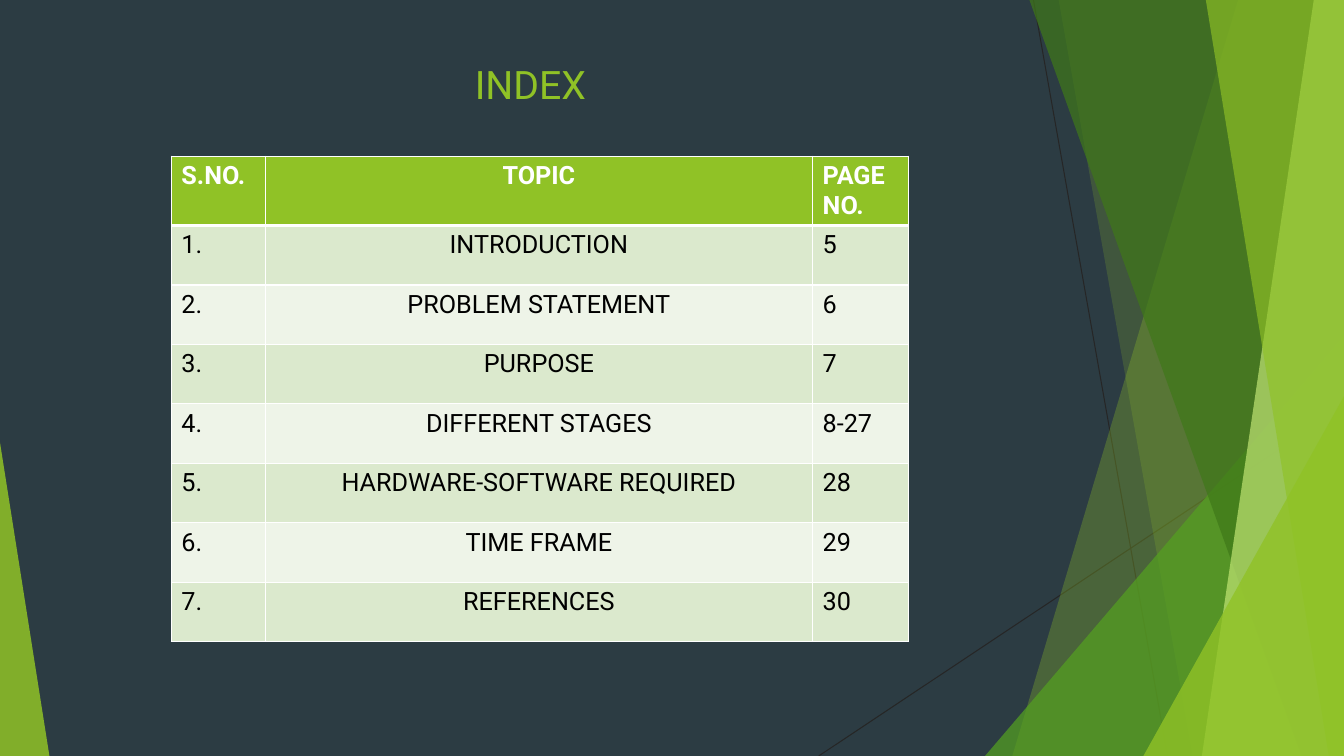
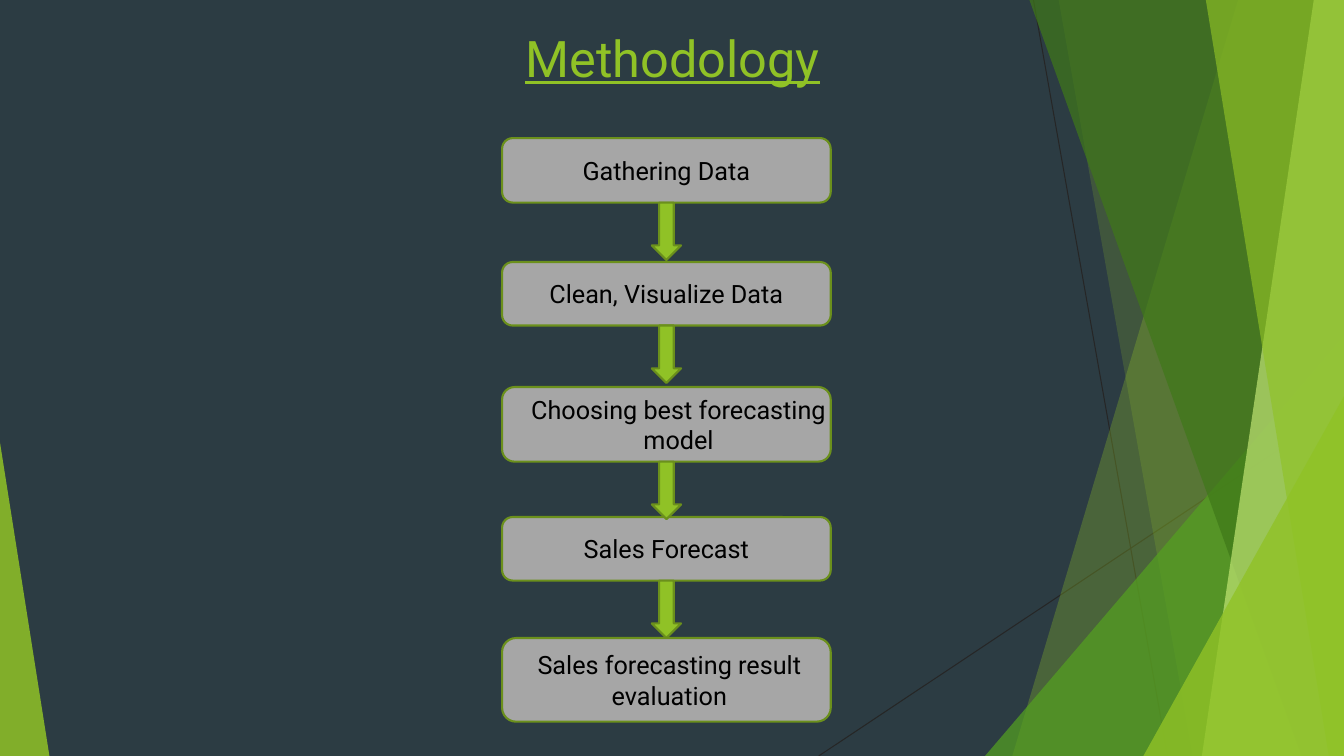
from lxml.etree import SubElement
from pptx import Presentation
from pptx.dml.color import RGBColor
from pptx.enum.shapes import MSO_CONNECTOR, MSO_SHAPE
from pptx.enum.text import MSO_ANCHOR, MSO_AUTO_SIZE, PP_ALIGN
from pptx.oxml import parse_xml
from pptx.oxml.ns import nsdecls, qn
from pptx.util import Inches, Pt

# Content
INDEX_TITLE = "INDEX"
INDEX_ROWS = [
    ("S.NO.", "TOPIC", "PAGE NO."),
    ("1.", "INTRODUCTION", "5"),
    ("2.", "PROBLEM STATEMENT", "6"),
    ("3.", "PURPOSE", "7"),
    ("4.", "DIFFERENT STAGES", "8-27"),
    ("5.", "HARDWARE-SOFTWARE REQUIRED", "28"),
    ("6.", "TIME FRAME", "29"),
    ("7.", "REFERENCES", "30"),
]
METHOD_TITLE = "Methodology"
# text, top, height, left inset, right inset
METHOD_STEPS = [
    ("Gathering Data", 1.37, 0.64, 0.08, 0.08),
    ("Clean, Visualize Data", 2.6, 0.63, 0.08, 0.08),
    ("Choosing best forecasting model", 3.84, 0.74, 0.24, 0),
    ("Sales Forecast", 5.13, 0.63, 0.08, 0.08),
    ("Sales forecasting result evaluation", 6.33, 0.83, 0.14, 0.08),
]

# Theme
THEME = {
    "font": "Roboto",
    "background": "2C3C43", "accent": "90C226", "outline": "6B901C",
    "leaf": "54A021", "forest": "3F7819", "lime": "C0E474",
    "hairline": "262626", "step": "A6A6A6",
    "light": "FFFFFF", "dark": "000000", "bands": ("DBE9CD", "EEF4E8"),
    "index_size": 28, "method_size": 36, "body_size": 18,
}
WIDTH, HEIGHT = 13.33, 7.5

# Decoration, from back to front
HAIRLINES = [(10.25, 0, 11.58, HEIGHT), (WIDTH, 4.03, 8.12, HEIGHT)]
# "facet": x at top, x at bottom; "corner": left, top, width, peak
PANELS = [
    ("facet", (12.28, 10.04), "accent", 30),
    ("facet", (10.5, 11.83), "accent", 20),
    ("corner", (9.77, 3.33, 3.56, 1), "leaf", 72),
    ("facet", (10.21, 12.91), "forest", 70),
    ("facet", (13.03, 11.92), "lime", 70),
    ("facet", (11.96, 13.18), "accent", 65),
    ("corner", (11.34, 3.93, 1.99, 1), "accent", 80),
    ("corner", (0, 4.39, 0.49, 0), "accent", 85),
]


def colour(name):
    return RGBColor.from_string(THEME.get(name, name))


def paint(shape, fill, line=None, alpha=None):
    shape.shadow.inherit = False
    shape.fill.solid()
    shape.fill.fore_color.rgb = colour(fill)
    if alpha is not None:
        tint = shape.element.spPr.find(qn("a:solidFill"))[0]
        SubElement(tint, qn("a:alpha"), val=str(alpha * 1000))
    if line:
        shape.line.color.rgb = colour(line)
        shape.line.width = Pt(1.5)
    else:
        shape.line.fill.background()


def write(frame, text, size, ink, align=PP_ALIGN.CENTER, **extra):
    para = frame.paragraphs[0]
    para.alignment = align
    span = para.add_run()
    span.text = text
    formats = {"name": THEME["font"], "size": Pt(THEME[size]), **extra}
    for name, value in formats.items():
        setattr(span.font, name, value)
    span.font.color.rgb = colour(ink)


def add_panel(page, kind, geometry, fill, alpha):
    if kind == "facet":
        top_x, bottom_x = geometry
        corners = [(WIDTH, 0), (WIDTH, HEIGHT), (bottom_x, HEIGHT)]
        outline = page.shapes.build_freeform(Inches(top_x), 0)
        outline.add_line_segments([(Inches(x), Inches(y)) for x, y in corners])
        panel = outline.convert_to_shape()
    else:
        left, top, width, peak = geometry
        panel = page.shapes.add_shape(
            MSO_SHAPE.ISOSCELES_TRIANGLE, Inches(left), Inches(top),
            Inches(width), Inches(HEIGHT - top))
        panel.adjustments[0] = peak
    paint(panel, fill, alpha=alpha)


def add_page(deck):
    page = deck.slides.add_slide(deck.slide_layouts[6])
    for ends in HAIRLINES:
        line = page.shapes.add_connector(
            MSO_CONNECTOR.STRAIGHT, *[Inches(end) for end in ends])
        line.line.color.rgb = colour("hairline")
        line.line.width = Pt(0.75)
        SubElement(line.element.spPr, qn("a:effectLst"))
    for panel in PANELS:
        add_panel(page, *panel)
    return page


def add_title(page, text, place, size, **extra):
    box = page.shapes.add_textbox(*[Inches(length) for length in place])
    box.text_frame.word_wrap = True
    box.text_frame.auto_size = MSO_AUTO_SIZE.SHAPE_TO_FIT_TEXT
    write(box.text_frame, text, size, "accent", **extra)


def add_borders(cell, widths):
    properties = cell._tc.get_or_add_tcPr()
    for position, (side, width) in enumerate(widths.items()):
        properties.insert(position, parse_xml(
            f'<a:ln{side} {nsdecls("a")} w="{Pt(width)}"><a:solidFill>'
            f'<a:srgbClr val="{THEME["light"]}"/></a:solidFill></a:ln{side}>'))


def add_index_table(page):
    columns = (0.93, 5.43, 0.95)
    heights = [0.61] + [0.59] * (len(INDEX_ROWS) - 1)
    table = page.shapes.add_table(
        len(INDEX_ROWS), len(columns), Inches(1.7), Inches(1.55),
        Inches(sum(columns)), Inches(sum(heights))).table
    for column, width in zip(table.columns, columns):
        column.width = Inches(width)
    for number, (row, values) in enumerate(zip(table.rows, INDEX_ROWS)):
        row.height = Inches(heights[number])
        header = number == 0
        fill = "accent" if header else THEME["bands"][(number - 1) % 2]
        for place, (cell, value) in enumerate(zip(row.cells, values)):
            cell.fill.solid()
            cell.fill.fore_color.rgb = colour(fill)
            add_borders(cell, {"L": 1, "R": 1, "T": 3 if number == 1 else 1,
                               "B": 3 if header else 1})
            write(cell.text_frame, value, "body_size",
                  "light" if header else "dark",
                  PP_ALIGN.CENTER if place == 1 else PP_ALIGN.LEFT, bold=header)


def add_flow(page):
    left, width = 4.98, 3.26
    arrow_width, arrow_height = 0.29, 0.57
    for text, top, height, inset_left, inset_right in METHOD_STEPS:
        step = page.shapes.add_shape(
            MSO_SHAPE.ROUNDED_RECTANGLE, Inches(left), Inches(top),
            Inches(width), Inches(height))
        paint(step, "step", "outline")
        formats = {
            "word_wrap": True, "vertical_anchor": MSO_ANCHOR.MIDDLE,
            "margin_left": Inches(inset_left), "margin_right": Inches(inset_right),
            "margin_top": 0, "margin_bottom": 0,
        }
        for name, value in formats.items():
            setattr(step.text_frame, name, value)
        write(step.text_frame, text, "body_size", "dark")
    # One arrow below every step but the last
    for _, top, height, *_ in METHOD_STEPS[:-1]:
        arrow = page.shapes.add_shape(
            MSO_SHAPE.DOWN_ARROW, Inches(left + (width - arrow_width) / 2),
            Inches(top + height), Inches(arrow_width), Inches(arrow_height))
        paint(arrow, "accent", "outline")


# Deck
deck = Presentation()
deck.slide_width, deck.slide_height = Inches(WIDTH), Inches(HEIGHT)
backdrop = deck.slide_master.background.fill
backdrop.solid()
backdrop.fore_color.rgb = colour("background")

# Index
index_page = add_page(deck)
add_index_table(index_page)
add_title(index_page, INDEX_TITLE, (2.54, 0.55, 5.44, 0.57), "index_size")

# Methodology
method_page = add_page(deck)
add_title(method_page, METHOD_TITLE, (4.65, 0.22, 4.04, 0.71), "method_size",
          underline=True)
add_flow(method_page)

deck.save("out.pptx")
